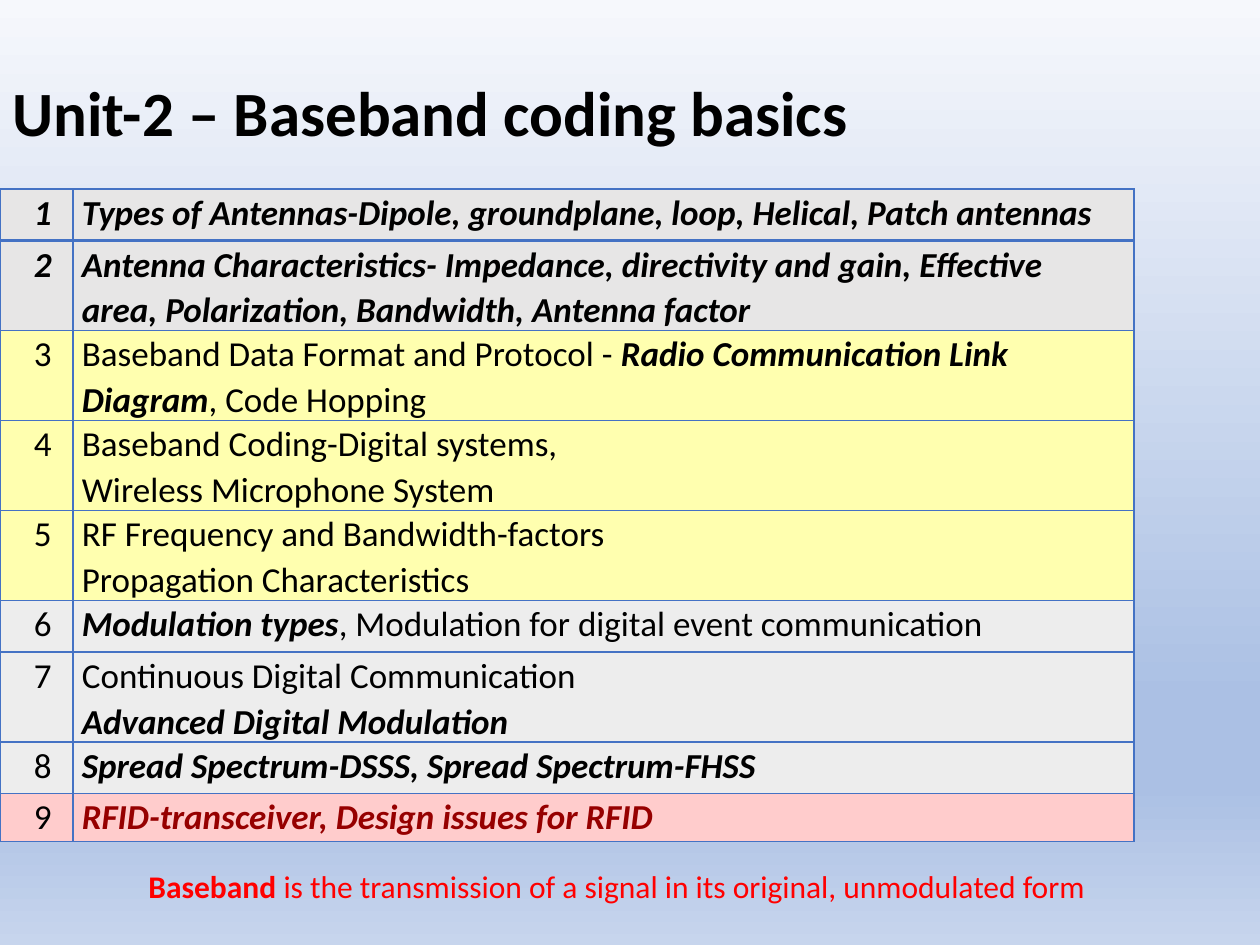
import pptx
import pptx.dml.color
import pptx.enum.text
import pptx.oxml
import pptx.oxml.ns
import pptx.util
from pptx.util import Inches

COLORS = {
    "black": "000000", "red": "FF0000", "maroon": "960000", "border": "4472C4",
    "done": "E7E6E6", "current": "FFFFAF", "later": "EDEDED", "last": "FFCCCC",
}
BACKGROUND_STOPS = [(0, "F6F8FC"), (74, "ABC0E4"), (83, "ABC0E4"), (100, "C7D5ED")]
PLAIN, STRONG = False, True
TOPICS = [
    ("done", [[("Types of Antennas-Dipole, groundplane, loop, Helical, Patch antennas", STRONG)]]),
    ("done", [[("Antenna Characteristics- Impedance, directivity and gain, Effective area, "
                "Polarization, Bandwidth, Antenna factor", STRONG)]]),
    ("current", [[("Baseband Data Format and Protocol - ", PLAIN),
                  ("Radio Communication Link Diagram", STRONG), (", Code Hopping", PLAIN)]]),
    ("current", [[("Baseband Coding-Digital systems,", PLAIN)],
                 [("Wireless Microphone System", PLAIN)]]),
    ("current", [[("RF Frequency and Bandwidth-factors", PLAIN)],
                 [("Propagation Characteristics", PLAIN)]]),
    ("later", [[("Modulation types", STRONG),
                (", Modulation for digital event communication", PLAIN)]]),
    ("later", [[("Continuous Digital Communication", PLAIN)],
               [("Advanced Digital Modulation", STRONG)]]),
    ("later", [[("Spread Spectrum-DSSS, Spread Spectrum-FHSS", STRONG)]]),
    ("last", [[("RFID-transceiver, Design issues for RFID", STRONG)]]),
]


class SlideBuilder:
    """Hold the style and the current slide, and add its elements."""

    font = "Calibri"

    def __init__(self, presentation):
        self.slide = presentation.slides.add_slide(presentation.slide_layouts[6])

    def color(self, name):
        return pptx.dml.color.RGBColor.from_string(COLORS[name])

    def background(self, stops):
        fill = self.slide.background.fill
        fill.gradient()
        fill.gradient_angle = 270
        stop_list = self.slide.element.find(".//" + pptx.oxml.ns.qn("a:gsLst"))
        for old_stop in list(stop_list):
            stop_list.remove(old_stop)
        for position, color in stops:
            stop_list.append(pptx.oxml.parse_xml(
                f'<a:gs {pptx.oxml.ns.nsdecls("a")} pos="{position * 1000}">'
                f'<a:srgbClr val="{color}"/></a:gs>'))

    def add_runs(self, paragraph, parts, size, color, italic=False, spacing=None):
        paragraph.line_spacing = spacing
        for text, strong in parts:
            run = paragraph.add_run()
            run.text = text
            run.font.name = self.font
            run.font.size = pptx.util.Pt(size)
            run.font.bold = strong
            run.font.italic = strong and italic
            run.font.color.rgb = self.color(color)

    def text(self, left, top, width, height, parts, size, color, anchor, spacing=None):
        shape = self.slide.shapes.add_textbox(
            Inches(left), Inches(top), Inches(width), Inches(height))
        text_frame = shape.text_frame
        text_frame.word_wrap = True
        text_frame.vertical_anchor = anchor
        self.add_runs(text_frame.paragraphs[0], parts, size, color, spacing=spacing)

    def borders(self, cell, widths):
        properties = cell._tc.get_or_add_tcPr()
        for side, width in zip("LRTB", widths):
            properties.append(pptx.oxml.parse_xml(
                f'<a:ln{side} {pptx.oxml.ns.nsdecls("a")} w="{pptx.util.Pt(width)}">'
                f'<a:solidFill><a:srgbClr val="{COLORS["border"]}"/></a:solidFill>'
                f'</a:ln{side}>'))

    def cell(self, cell, lines, fill, color, widths):
        cell.margin_left = cell.margin_right = Inches(0.07)
        cell.margin_top = cell.margin_bottom = 0
        self.borders(cell, widths)
        cell.fill.solid()
        cell.fill.fore_color.rgb = self.color(fill)
        text_frame = cell.text_frame
        for index, parts in enumerate(lines):
            paragraph = text_frame.add_paragraph() if index else text_frame.paragraphs[0]
            self.add_runs(paragraph, parts, 20, color, italic=True, spacing=1.07)

    def topic_table(self, left, top, column_widths, row_heights, topics):
        table = self.slide.shapes.add_table(
            len(topics), len(column_widths), Inches(left), Inches(top),
            Inches(sum(column_widths)), Inches(sum(row_heights))).table
        table.first_row = table.horz_banding = False
        for column, width in zip(table.columns, column_widths):
            column.width = Inches(width)
        for index, (fill, lines) in enumerate(topics):
            table.rows[index].height = Inches(row_heights[index])
            widths = (1, 1, 2 if index == 1 else 1, 2 if index == 0 else 1)
            number = table.cell(index, 0)
            self.cell(number, [[(str(index + 1), fill == "done")]], fill, "black", widths)
            paragraph = number.text_frame.paragraphs[0]
            paragraph.alignment = pptx.enum.text.PP_ALIGN.CENTER
            paragraph._p.get_or_add_pPr().set("marL", str(Inches(0.1)))
            color = "maroon" if fill == "last" else "black"
            self.cell(table.cell(index, 1), lines, fill, color, widths)


def main():
    presentation = pptx.Presentation()
    presentation.slide_width = Inches(10)
    presentation.slide_height = Inches(7.5)
    builder = SlideBuilder(presentation)
    anchors = pptx.enum.text.MSO_ANCHOR
    builder.background(BACKGROUND_STOPS)
    builder.text(0, 0.3, 9, 1.25, [("Unit-2 – Baseband coding basics", STRONG)],
                 36, "black", anchors.MIDDLE, 0.9)
    builder.topic_table(0, 1.5, [0.58, 8.42], [0.41] * 8 + [0.38], TOPICS)
    builder.text(1.08, 6.83, 7.92, 0.4,
                 [("Baseband ", STRONG),
                  ("is the transmission of a signal in its original, unmodulated form", PLAIN)],
                 18, "red", anchors.TOP)
    presentation.save("out.pptx")


if __name__ == "__main__":
    main()
